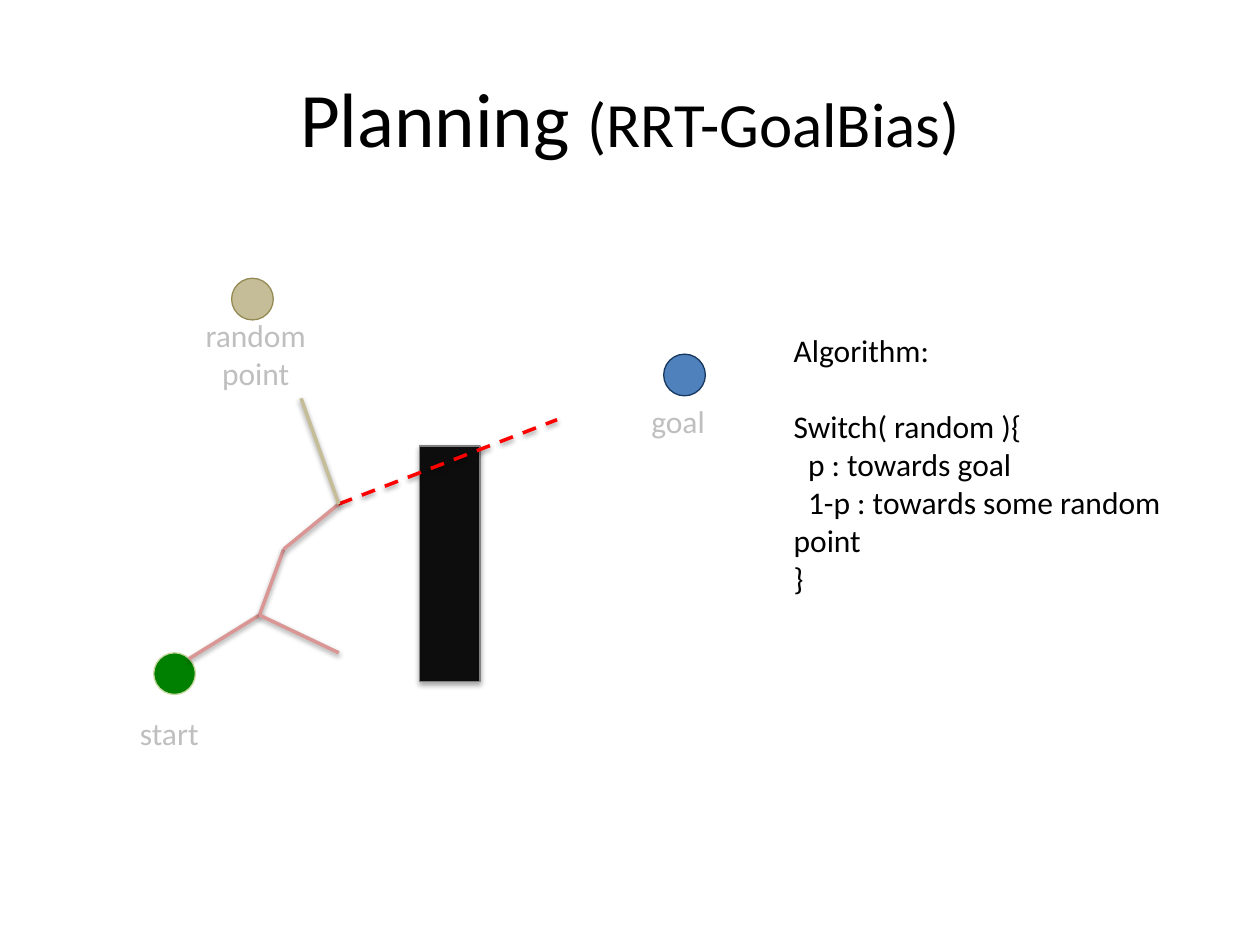
from dataclasses import dataclass

from lxml import etree
from pptx import Presentation
from pptx import util as u
from pptx.dml.color import RGBColor
from pptx.enum import dml, shapes, text
from pptx.oxml import ns

BLACK = RGBColor(0x00, 0x00, 0x00)
LABEL_GREY = RGBColor(0xBF, 0xBF, 0xBF)
OBSTACLE_FILL = RGBColor(0x0D, 0x0D, 0x0D)
OBSTACLE_LINE = RGBColor(0x80, 0x80, 0x80)
START_FILL = RGBColor(0x00, 0x80, 0x00)
START_LINE = RGBColor(0xC3, 0xD6, 0x9B)
GOAL_FILL = RGBColor(0x4F, 0x81, 0xBD)
GOAL_LINE = RGBColor(0x17, 0x37, 0x5E)
RANDOM_FILL = RGBColor(0xC4, 0xBD, 0x97)
RANDOM_LINE = RGBColor(0x94, 0x8A, 0x54)
TREE_PINK = RGBColor(0xD9, 0x96, 0x94)
BLOCKED_RED = RGBColor(0xFF, 0x00, 0x00)

FONT = "Calibri"
NODE_SIZE = 0.84

Point = tuple[float, float]
Box = tuple[float, float, float, float]


@dataclass
class Node:
    center: Point
    fill: RGBColor
    line: RGBColor


@dataclass
class Edge:
    begin: Point
    end: Point
    color: RGBColor = TREE_PINK
    dashed: bool = False


@dataclass
class Line:
    runs: list[tuple[str, int]]
    indent: float = 0
    space_after: float = 0


@dataclass
class Block:
    box: Box
    lines: list[Line]
    color: RGBColor = BLACK
    align: text.PP_ALIGN = text.PP_ALIGN.LEFT
    anchor: text.MSO_ANCHOR = text.MSO_ANCHOR.TOP
    wrap: bool = True
    grow: bool = True


def body(words: str, **spacing: float) -> Line:
    return Line([(words, 18)], **spacing)


def label(box: Box, *words: str) -> Block:
    return Block(box, [body(word) for word in words], LABEL_GREY,
                 text.PP_ALIGN.CENTER if len(words) > 1 else text.PP_ALIGN.LEFT,
                 wrap=False)


def add_shadow(shape, alpha: int, distance: float) -> None:
    """Give the shape a soft shadow that falls straight down."""
    effects = etree.SubElement(shape._element.spPr, ns.qn("a:effectLst"))
    shadow = etree.SubElement(
        effects, ns.qn("a:outerShdw"), blurRad=str(u.Pt(3.1)),
        dist=str(u.Pt(distance)), dir="5400000", rotWithShape="0")
    color = etree.SubElement(shadow, ns.qn("a:srgbClr"), val=str(BLACK))
    etree.SubElement(color, ns.qn("a:alpha"), val=str(alpha * 1000))


def add_filled(slide, kind, box: Box, fill: RGBColor, line: RGBColor):
    shape = slide.shapes.add_shape(kind, *map(u.Cm, box))
    shape.fill.solid()
    shape.fill.fore_color.rgb = fill
    shape.line.color.rgb = line
    shape.line.width = u.Pt(0.75)
    return shape


def draw_node(slide, node: Node) -> None:
    left, top = (middle - NODE_SIZE / 2 for middle in node.center)
    circle = add_filled(slide, shapes.MSO_SHAPE.FLOWCHART_CONNECTOR,
                        (left, top, NODE_SIZE, NODE_SIZE), node.fill, node.line)
    circle.shadow.inherit = False


def draw_edge(slide, edge: Edge) -> None:
    connector = slide.shapes.add_connector(
        shapes.MSO_CONNECTOR.STRAIGHT, *map(u.Cm, edge.begin + edge.end))
    connector.line.color.rgb = edge.color
    connector.line.width = u.Pt(2)
    if edge.dashed:
        connector.line.dash_style = dml.MSO_LINE.DASH
    add_shadow(connector, alpha=38, distance=1.6)


def draw_block(slide, block: Block) -> None:
    frame = slide.shapes.add_textbox(*map(u.Cm, block.box)).text_frame
    frame_format = {
        "word_wrap": block.wrap,
        "vertical_anchor": block.anchor,
        "auto_size": (text.MSO_AUTO_SIZE.SHAPE_TO_FIT_TEXT if block.grow
                      else text.MSO_AUTO_SIZE.NONE),
    }
    for key, value in frame_format.items():
        setattr(frame, key, value)
    for number, line in enumerate(block.lines):
        paragraph = frame.add_paragraph() if number else frame.paragraphs[0]
        paragraph.alignment = block.align
        paragraph.space_after = u.Pt(line.space_after)
        if line.indent:
            properties = paragraph._p.get_or_add_pPr()
            properties.set("marL", "0")
            properties.set("indent", str(u.Cm(line.indent)))
        for words, size in line.runs:
            run = paragraph.add_run()
            run.text = words
            for key, value in {"name": FONT, "size": u.Pt(size)}.items():
                setattr(run.font, key, value)
            run.font.color.rgb = block.color


# Points of the search tree
ROOT, FORK, BEND, TIP = (3.81, 13.28), (5.23, 12.4), (5.72, 11.07), (6.83, 10.16)
LEAF, TOWARDS_GOAL, TOWARDS_RANDOM = (6.83, 13.16), (11.23, 8.46), (6.07, 8.03)

OBSTACLE = (8.46, 8.99, 1.22, 4.75)
NODES = [
    Node((3.52, 13.58), START_FILL, START_LINE),
    Node((13.8, 7.56), GOAL_FILL, GOAL_LINE),
    Node((5.09, 6.03), RANDOM_FILL, RANDOM_LINE),
]
EDGES = [
    Edge(ROOT, FORK),
    Edge(FORK, BEND),
    Edge(FORK, LEAF),
    Edge(BEND, TIP),
    Edge(TIP, TOWARDS_GOAL, BLOCKED_RED, dashed=True),
    Edge(TIP, TOWARDS_RANDOM, RANDOM_FILL),
]
BLOCKS = [
    Block((1.27, 0.76, 22.86, 3.18),
          [Line([("Planning ", 44), ("(RRT-GoalBias)", 36)])],
          align=text.PP_ALIGN.CENTER, anchor=text.MSO_ANCHOR.MIDDLE, grow=False),
    label((12.88, 7.98, 1.73, 1.02), "goal"),
    label((2.57, 14.27, 1.75, 1.02), "start"),
    label((3.81, 6.25, 2.69, 1.8), "random", "point"),
    Block((15.75, 6.55, 8.38, 5.64), [
        body("Algorithm:", space_after=22),
        body("Switch( random ){"),
        body("p : towards goal", indent=0.29),
        body("1-p : towards some random point", indent=0.29),
        body("}"),
    ]),
]


def main() -> None:
    deck = Presentation()
    deck.slide_width, deck.slide_height = u.Cm(25.4), u.Cm(19.05)
    slide = deck.slides.add_slide(deck.slide_layouts[6])

    # Start, goal and random point, then the obstacle
    for node in NODES:
        draw_node(slide, node)
    obstacle = add_filled(slide, shapes.MSO_SHAPE.RECTANGLE, OBSTACLE,
                          OBSTACLE_FILL, OBSTACLE_LINE)
    add_shadow(obstacle, alpha=35, distance=1.8)

    # Search tree over the obstacle
    for edge in EDGES:
        draw_edge(slide, edge)

    # Title, labels and algorithm
    for block in BLOCKS:
        draw_block(slide, block)

    deck.save("out.pptx")


if __name__ == "__main__":
    main()
